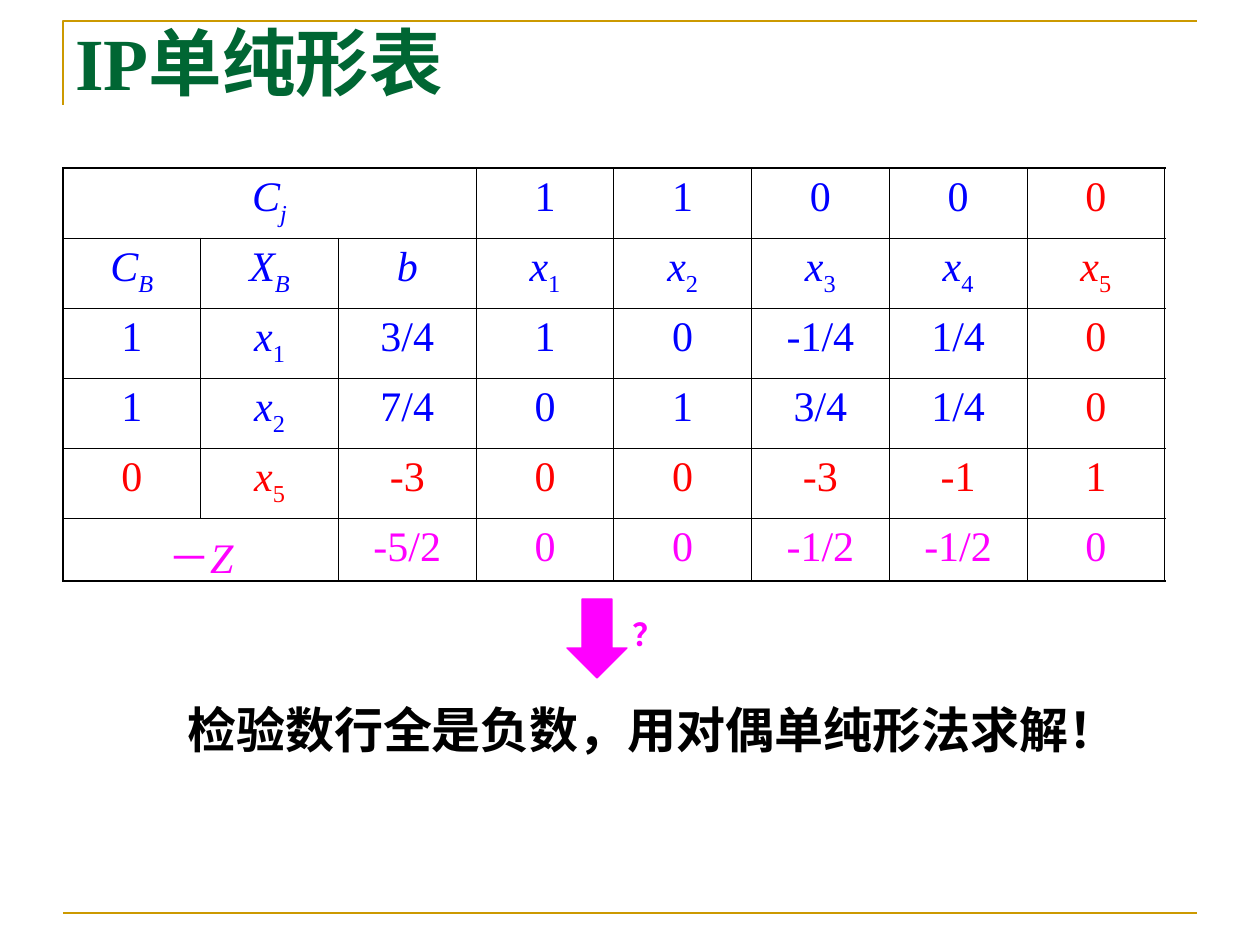
from dataclasses import dataclass

from lxml.etree import SubElement
from pptx import Presentation
from pptx.dml.color import RGBColor
from pptx.enum.shapes import MSO_CONNECTOR, MSO_SHAPE
from pptx.enum.text import MSO_ANCHOR, PP_ALIGN
from pptx.oxml.ns import qn
from pptx.util import Emu, Pt

EMU_PER_PX = 914400 / 126


@dataclass(frozen=True)
class Theme:
    gold: str = "CC9900"
    green: str = "006633"
    blue: str = "0000FF"
    red: str = "FF0000"
    magenta: str = "FF00FF"
    black: str = "000000"
    serif: str = "Times New Roman"
    sans: str = "Arial"
    title: float = 42
    message: float = 28
    cell: float = 24
    mark: float = 18
    rule: float = 1.5
    outline: float = 0.75
    outer: float = 1.08
    inner: float = 0.45


@dataclass(frozen=True)
class Row:
    """One tableau row; "_" starts a subscript, merged cells are empty."""
    texts: tuple[str, ...]
    color: str
    last_color: str
    height: int = 70


@dataclass(frozen=True)
class Label:
    text: str
    box: tuple[int, int, int, int]
    font: str
    size: float
    color: str
    wrap: bool = False
    line_spacing: float = 1.0


T = Theme()

ROWS = (
    Row(("C_j", "", "", "1", "1", "0", "0", "0"), T.blue, T.red),
    Row(("C_B", "X_B", "b", "x_1", "x_2", "x_3", "x_4", "x_5"), T.blue, T.red),
    Row(("1", "x_1", "3/4", "1", "0", "-1/4", "1/4", "0"), T.blue, T.red),
    Row(("1", "x_2", "7/4", "0", "1", "3/4", "1/4", "0"), T.blue, T.red),
    Row(("0", "x_5", "-3", "0", "0", "-3", "-1", "1"), T.red, T.red),
    Row(("－Z", "", "-5/2", "0", "0", "-1/2", "-1/2", "0"), T.magenta, T.magenta, 63),
)
TABLE_LEFT, TABLE_TOP, TABLE_WIDTH = 63, 168, 1102

TITLE = Label("IP单纯形表", (63, 21, 1134, 126), T.serif, T.title, T.green, True, 0.9)
MESSAGE = Label("检验数行全是负数，用对偶单纯形法求解！", (175, 693, 955, 72),
                T.sans, T.message, T.black)
QUESTION = Label("？", (620, 609, 57, 50), T.sans, T.mark, T.magenta)


def px(n: int) -> Emu:
    return Emu(round(n * EMU_PER_PX))


def rgb(color: str) -> RGBColor:
    return RGBColor.from_string(color)


def style_paragraph(p, font: str, size: float, color: str, bold: bool = False) -> None:
    p.font.name = font
    p.font.size = Pt(size)
    p.font.bold = bold
    p.font.color.rgb = rgb(color)


def add_label(shapes, label: Label) -> None:
    tf = shapes.add_textbox(*map(px, label.box)).text_frame
    tf.word_wrap = label.wrap
    tf.vertical_anchor = MSO_ANCHOR.TOP
    p = tf.paragraphs[0]
    p.line_spacing = label.line_spacing
    p.add_run().text = label.text
    style_paragraph(p, label.font, label.size, label.color, bold=True)


def add_frame(shapes) -> None:
    """Draw the corner rule around the title and the rule at the foot."""
    builder = shapes.build_freeform(px(63), px(105))
    builder.add_line_segments([(px(63), px(21)), (px(1197), px(21))], close=False)
    corner = builder.convert_to_shape()
    corner.shadow.inherit = False
    corner.fill.background()
    foot = shapes.add_connector(MSO_CONNECTOR.STRAIGHT, px(63), px(913), px(1197), px(913))
    SubElement(foot._element.spPr, qn("a:effectLst"))
    for sp in (corner, foot):
        sp.line.color.rgb = rgb(T.gold)
        sp.line.width = Pt(T.rule)


def set_border(cell, side: str, width: float) -> None:
    ln = SubElement(cell._tc.get_or_add_tcPr(), qn(f"a:ln{side}"), w=str(Pt(width)))
    fill = SubElement(ln, qn("a:solidFill"))
    SubElement(fill, qn("a:srgbClr"), val=T.black)


def write_math(p, text: str) -> None:
    """Write Latin letters in italics and the part after "_" as a subscript."""
    base, _, sub = text.partition("_")
    sign = "－" if base.startswith("－") else ""
    for part, baseline in ((sign, 0), (base.removeprefix(sign), 0), (sub, -25000)):
        if part:
            r = p.add_run()
            r.text = part
            r.font.italic = part.isalpha()
            if baseline:
                r._r.get_or_add_rPr().set("baseline", str(baseline))


def add_tableau(shapes) -> None:
    n_rows, n_cols = len(ROWS), len(ROWS[0].texts)
    height = sum(row.height for row in ROWS)
    table = shapes.add_table(n_rows, n_cols, px(TABLE_LEFT), px(TABLE_TOP),
                             px(TABLE_WIDTH), px(height)).table
    table.first_row = table.horz_banding = False
    for column in table.columns:
        column.width = Emu(px(TABLE_WIDTH) // n_cols)
    for i, row in enumerate(ROWS):
        table.rows[i].height = px(row.height)
        for j, text in enumerate(row.texts):
            cell = table.cell(i, j)
            edges = {"L": j == 0, "R": j == n_cols - 1, "T": i == 0, "B": i == n_rows - 1}
            for side, is_outer in edges.items():
                set_border(cell, side, T.outer if is_outer else T.inner)
            cell.fill.background()
            p = cell.text_frame.paragraphs[0]
            p.alignment = PP_ALIGN.CENTER
            write_math(p, text)
            color = row.last_color if j == n_cols - 1 else row.color
            style_paragraph(p, T.serif, T.cell, color)
    table.cell(0, 0).merge(table.cell(0, 2))
    table.cell(n_rows - 1, 0).merge(table.cell(n_rows - 1, 1))


def add_arrow_with_question(shapes) -> None:
    group = shapes.add_group_shape()
    arrow = group.shapes.add_shape(MSO_SHAPE.DOWN_ARROW, px(567), px(599), px(60), px(79))
    arrow.shadow.inherit = False
    arrow.fill.solid()
    arrow.fill.fore_color.rgb = rgb(T.magenta)
    arrow.line.color.rgb = rgb(T.magenta)
    arrow.line.width = Pt(T.outline)
    add_label(group.shapes, QUESTION)


def main() -> None:
    prs = Presentation()
    prs.slide_width, prs.slide_height = px(1260), px(945)
    s = prs.slides.add_slide(prs.slide_layouts[6])
    add_frame(s.shapes)
    add_label(s.shapes, TITLE)
    add_tableau(s.shapes)
    add_label(s.shapes, MESSAGE)
    add_arrow_with_question(s.shapes)
    prs.save("out.pptx")


if __name__ == "__main__":
    main()
